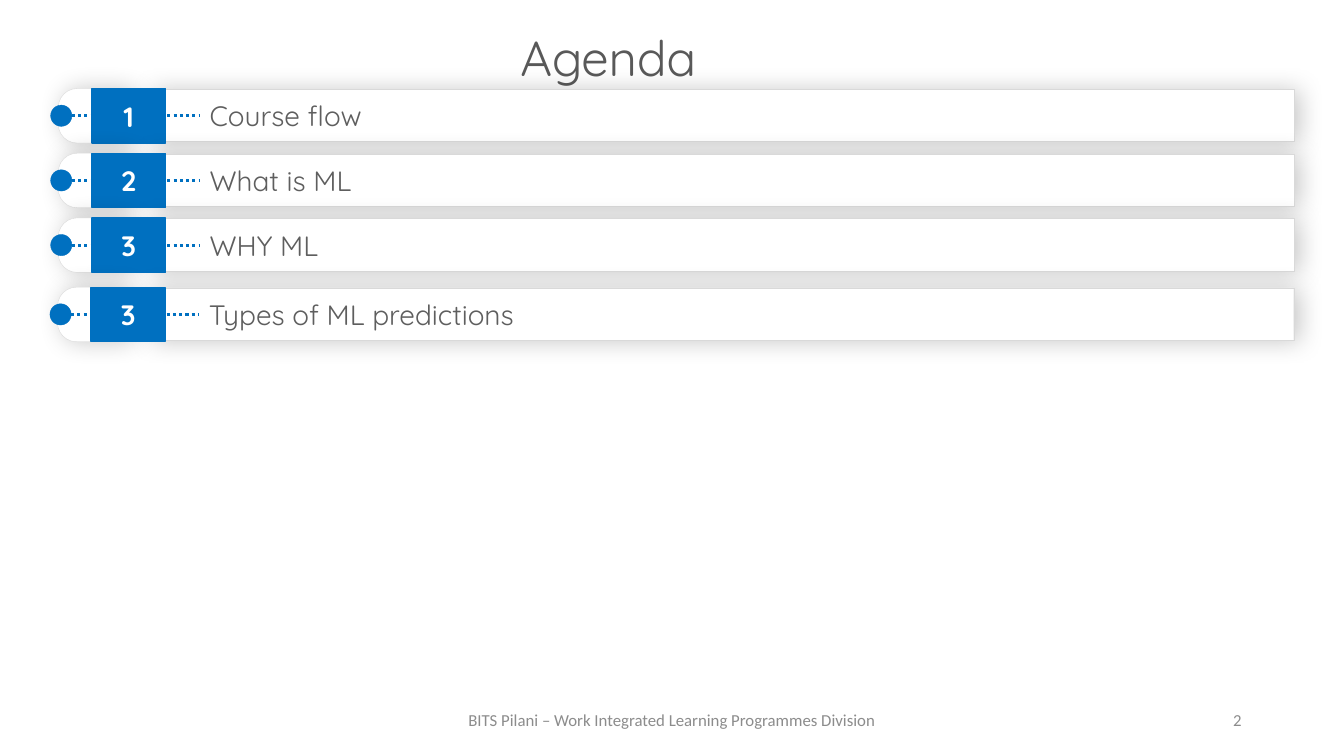
from lxml import etree
from pptx import Presentation
from pptx.dml.color import RGBColor
from pptx.enum.dml import MSO_LINE
from pptx.enum.shapes import MSO_CONNECTOR, MSO_SHAPE
from pptx.enum.text import MSO_ANCHOR, MSO_AUTO_SIZE, PP_ALIGN
from pptx.oxml import parse_xml
from pptx.oxml.ns import nsdecls, qn
from pptx.util import Pt

BLUE = RGBColor(0x00, 0x70, 0xC0)
WHITE = RGBColor(0xFF, 0xFF, 0xFF)
BORDER = RGBColor(0xD9, 0xD9, 0xD9)
TITLE_GREY = RGBColor(0x59, 0x59, 0x59)
LABEL_GREY = RGBColor(0x5E, 0x5E, 0x5E)
FOOTER_GREY = RGBColor(0x8C, 0x8C, 0x8C)

SOFT_SHADOW = (
    f'<a:outerShdw {nsdecls("a")} blurRad="{Pt(18)}" dist="{Pt(3)}" dir="0" '
    'algn="ctr" rotWithShape="0"><a:srgbClr val="000000">'
    '<a:alpha val="22000"/></a:srgbClr></a:outerShdw>'
)


def write(shape, text, size=20, color=WHITE, font="Quicksand", bold=False,
          align=PP_ALIGN.CENTER, indent=0, spacing=1.0):
    frame = shape.text_frame
    frame.word_wrap = True
    frame.auto_size = MSO_AUTO_SIZE.NONE
    frame.vertical_anchor = MSO_ANCHOR.MIDDLE
    paragraph = frame.paragraphs[0]
    paragraph.alignment = align
    paragraph.line_spacing = spacing
    if indent:
        properties = paragraph._p.get_or_add_pPr()
        properties.set("marL", str(Pt(indent)))
        properties.set("indent", "0")
    run = paragraph.add_run()
    run.text = text
    run.font.name = font
    run.font.size = Pt(size)
    run.font.bold = bold
    run.font.color.rgb = color


def add_part(row, preset, box, fill, border, weight, shadow=False):
    part = row.shapes.add_shape(preset, *(Pt(length) for length in box))
    part.fill.solid()
    part.fill.fore_color.rgb = fill
    part.line.color.rgb = border
    part.line.width = Pt(weight)
    part.shadow.inherit = False
    if shadow:
        effects = part._element.spPr.find(qn("a:effectLst"))
        effects.append(parse_xml(SOFT_SHADOW))
    return part


prs = Presentation()
prs.slide_width, prs.slide_height = Pt(960), Pt(540)
slide = prs.slides.add_slide(prs.slide_layouts[5])

footer = slide.shapes.add_textbox(Pt(318), Pt(499.7), Pt(324), Pt(28.8))
write(footer, "BITS Pilani – Work Integrated Learning Programmes Division",
      size=12, color=FOOTER_GREY, font="Calibri")
page_number = slide.shapes.add_textbox(Pt(678), Pt(499.7), Pt(216), Pt(28.8))
write(page_number, "2", size=12, color=FOOTER_GREY, font="Calibri",
      align=PP_ALIGN.RIGHT)

title = slide.shapes.title
title.left, title.top, title.width, title.height = (
    Pt(320.4), Pt(15.8), Pt(228.2), Pt(54.7))
write(title, "Agenda", size=35.1, color=TITLE_GREY, spacing=0.9)

# Number, topic, left edge and top of each row
agenda = [
    ("1", "Course flow", 36.2, 63.3),
    ("2", "What is ML", 36.2, 109.5),
    ("3", "WHY ML", 36.2, 155.7),
    ("3", "Types of ML predictions", 35.7, 205.2),
]

for number, topic, left, top in agenda:
    row = slide.shapes.add_group_shape()
    middle = top + 19.4

    tab = add_part(row, MSO_SHAPE.ROUNDED_RECTANGLE,
                   (left + 5.5, top, 55.4, 38.9), WHITE, BORDER, 0.25, shadow=True)
    tab.adjustments[0] = 0.344
    bar = add_part(row, MSO_SHAPE.RECTANGLE,
                   (left + 70.4, top + 0.5, 818, 37.4), WHITE, BORDER, 0.25, shadow=True)
    write(bar, topic, color=LABEL_GREY, align=PP_ALIGN.LEFT, indent=36)

    for start in (left + 83.3, left + 10.6):
        dots = row.shapes.add_connector(
            MSO_CONNECTOR.STRAIGHT, Pt(start), Pt(middle), Pt(start + 22.5), Pt(middle))
        dots.line.color.rgb = BLUE
        dots.line.width = Pt(2.25)
        dots.line.dash_style = MSO_LINE.ROUND_DOT
        etree.SubElement(dots._element.spPr, qn("a:effectLst"))

    add_part(row, MSO_SHAPE.OVAL, (left, middle - 7.6, 15.2, 15.2), BLUE, BLUE, 0.25)
    add_part(row, MSO_SHAPE.RECTANGLE, (left + 29.4, top, 52.8, 38.9), BLUE, BLUE, 1)
    badge = add_part(row, MSO_SHAPE.RECTANGLE,
                     (left + 38.9, top + 3.8, 33.8, 31.5), BLUE, BLUE, 0.75)
    write(badge, number, bold=True)

prs.save("out.pptx")
